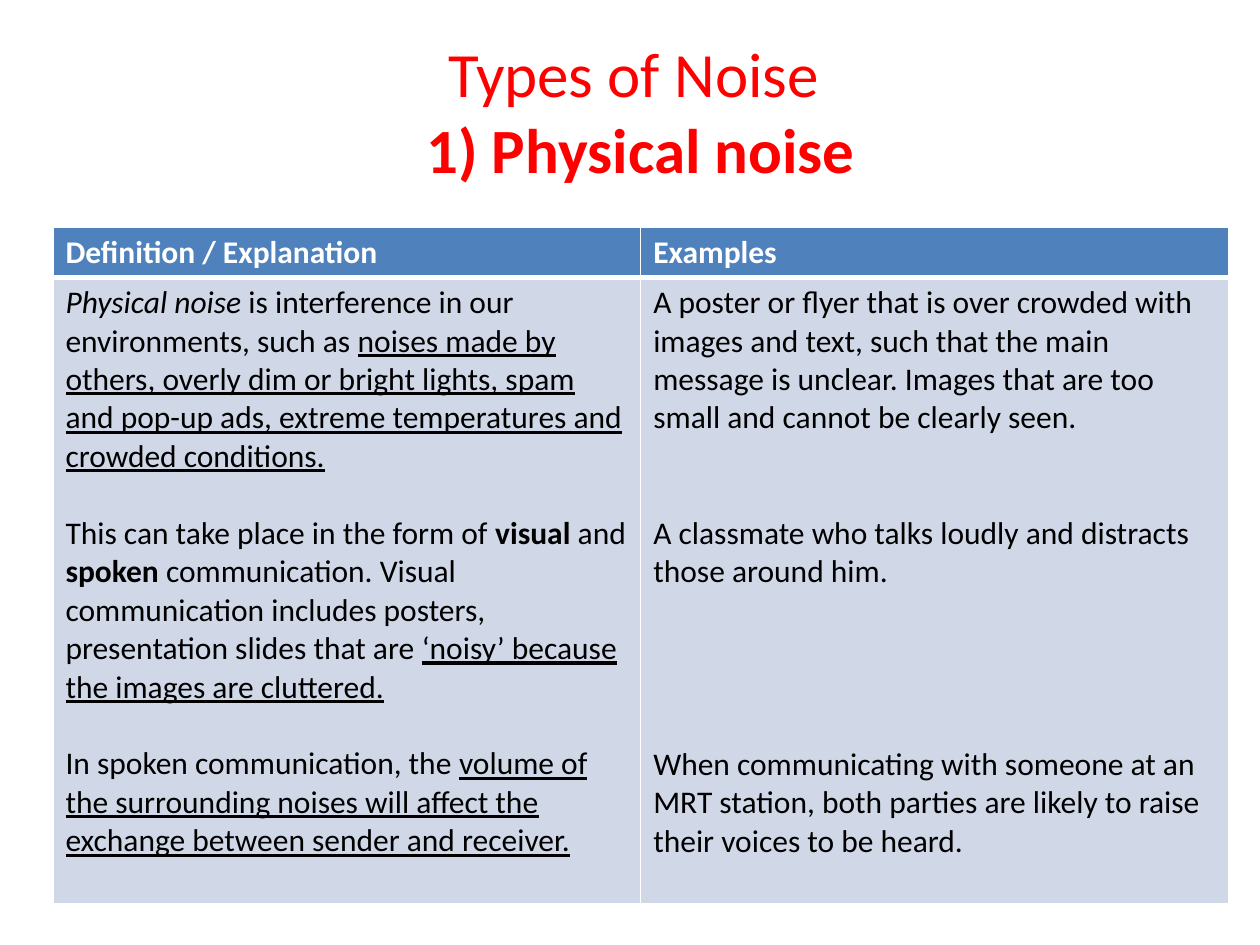
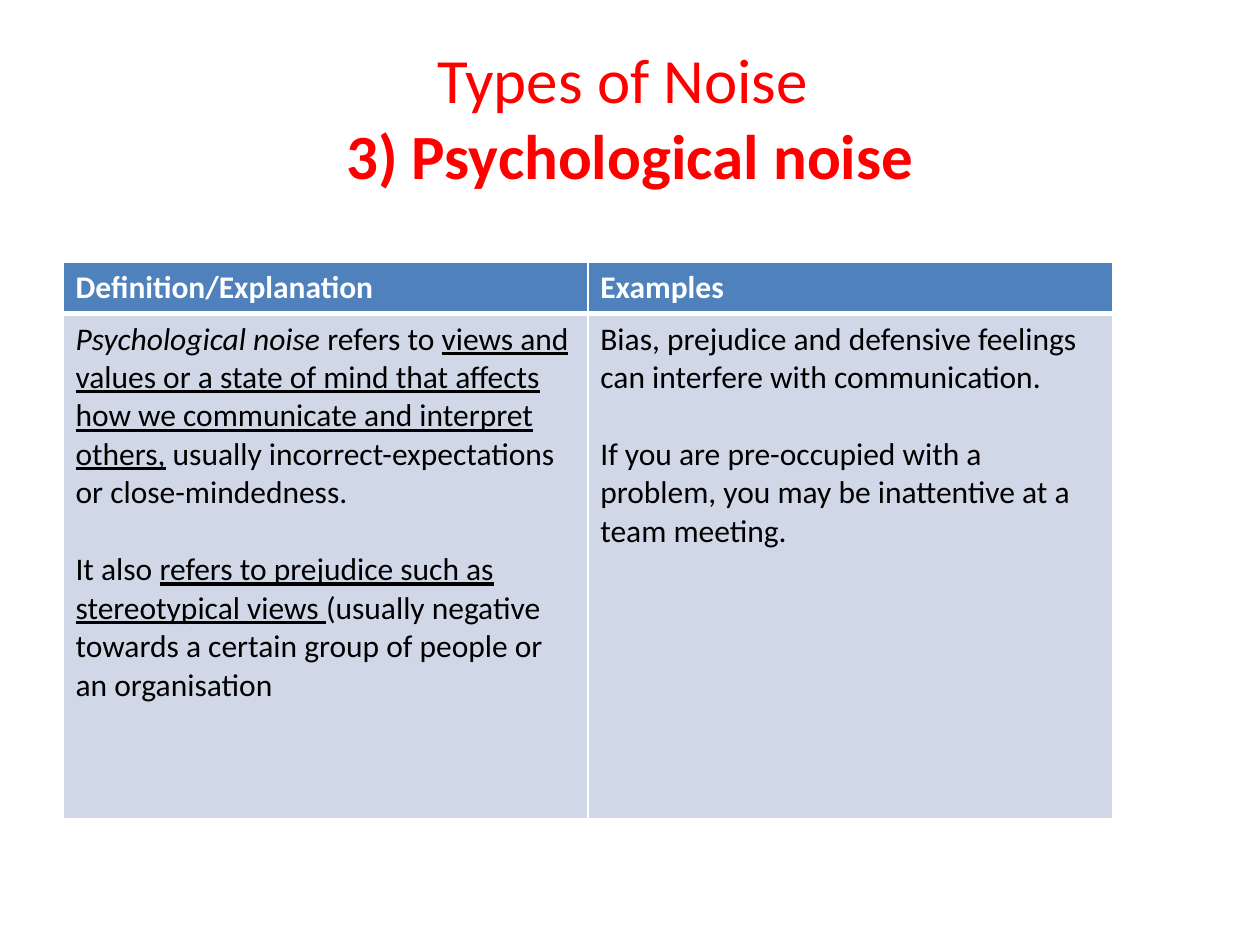
from dataclasses import dataclass
from typing import NamedTuple

from lxml import etree
from pptx import Presentation
from pptx.dml.color import RGBColor
from pptx.enum.text import MSO_ANCHOR, PP_ALIGN
from pptx.oxml.ns import qn
from pptx.util import Inches, Pt

CENTER = PP_ALIGN.CENTER
MIDDLE = MSO_ANCHOR.MIDDLE

COLORS = {
    "title": "FF0000",
    "header": "4F81BD",
    "body": "D0D8E8",
    "border": "FFFFFF",
    "header_text": "FFFFFF",
    "body_text": "000000",
}
FONT = "Calibri"
TITLE_SIZE = 36
TABLE_SIZE = 18
LINE_HEIGHT = 22  # points taken by one line of table text
BLANK_LAYOUT = 6


class Span(NamedTuple):
    text: str
    bold: bool = False
    italic: bool = False
    underline: bool = False


class Passage(NamedTuple):
    """A paragraph, set apart from the one before by a number of lines."""
    spans: list[Span]
    lines_before: int = 0


class Box(NamedTuple):
    left: float
    top: float
    width: float
    height: float


@dataclass
class NoiseSlide:
    heading: str
    title_box: Box
    table_box: Box
    header_height: float
    headers: list[str]
    definition: list[Passage]
    examples: list[Passage]


NOISE_SLIDES = [
    NoiseSlide(
        heading="1) Physical noise",
        title_box=Box(0.92, 0.25, 8.33, 1.25),
        table_box=Box(0.42, 1.8, 9.33, 5.37),
        header_height=0.4,
        headers=["Definition / Explanation", "Examples"],
        definition=[
            Passage([
                Span("Physical noise ", italic=True),
                Span("is interference in our environments, such as "),
                Span("noises made by others, overly dim or bright lights, spam and pop-up ads, "
                     "extreme temperatures and crowded conditions.", underline=True),
            ]),
            Passage([
                Span("This can take place in the form of "),
                Span("visual ", bold=True),
                Span("and "),
                Span("spoken", bold=True),
                Span(" communication. Visual communication includes posters, "
                     "presentation slides that are "),
                Span("‘noisy’ because the images are cluttered.", underline=True),
            ], 1),
            Passage([
                Span("In spoken communication, the "),
                Span("volume of the surrounding noises will affect the exchange "
                     "between sender and receiver.", underline=True),
            ], 1),
        ],
        examples=[
            Passage([Span("A poster or flyer that is over crowded with images and text, such that "
                          "the main message is unclear. Images that are too small and cannot be "
                          "clearly seen.")]),
            Passage([Span("A classmate who talks loudly and distracts those around him.")], 2),
            Passage([Span("When communicating with someone at an MRT station, both parties are "
                          "likely to raise their voices to be heard.")], 4),
        ],
    ),
    NoiseSlide(
        heading="3) Psychological noise",
        title_box=Box(0.5, 0.3, 9, 1.25),
        table_box=Box(0.5, 2.08, 8.33, 4.42),
        header_height=0.41,
        headers=["Definition/Explanation", "Examples"],
        definition=[
            Passage([
                Span("Psychological noise ", italic=True),
                Span("refers to "),
                Span("views and values or a state of mind that affects how we communicate "
                     "and interpret others,", underline=True),
                Span(" usually incorrect-expectations or close-mindedness."),
            ]),
            Passage([
                Span("It also "),
                Span("refers to prejudice such as stereotypical views ", underline=True),
                Span("(usually negative towards a certain group of people or an organisation"),
            ], 1),
        ],
        examples=[
            Passage([Span("Bias, prejudice and defensive feelings can interfere "
                          "with communication.")]),
            Passage([Span("If you are pre-occupied with a problem, you may be inattentive "
                          "at a team meeting.")], 1),
        ],
    ),
]


def add_span(paragraph, span: Span, size: int, color: str) -> None:
    run = paragraph.add_run()
    run.text = span.text
    font = run.font
    font.name = FONT
    font.size = Pt(size)
    font.bold = span.bold
    font.italic = span.italic
    font.underline = span.underline
    font.color.rgb = RGBColor.from_string(COLORS[color])


def add_title(slide, heading: str, box: Box) -> None:
    shape = slide.shapes.add_textbox(*map(Inches, box))
    text_frame = shape.text_frame
    text_frame.word_wrap = True
    text_frame.vertical_anchor = MIDDLE
    paragraph = text_frame.paragraphs[0]
    paragraph.alignment = CENTER
    add_span(paragraph, Span("Types of Noise "), TITLE_SIZE, "title")
    paragraph.add_line_break()
    add_span(paragraph, Span(heading, bold=True), TITLE_SIZE, "title")


def set_borders(cell, top: int, bottom: int) -> None:
    """Draw the four cell borders; side borders are one point wide."""
    properties = cell._tc.get_or_add_tcPr()
    for side, width in (("L", 1), ("R", 1), ("T", top), ("B", bottom)):
        line = etree.SubElement(properties, qn(f"a:ln{side}"), w=str(Pt(width)))
        fill = etree.SubElement(line, qn("a:solidFill"))
        etree.SubElement(fill, qn("a:srgbClr"), val=COLORS["border"])


def fill_cell(cell, passages: list[Passage], role: str) -> None:
    is_header = role == "header"
    set_borders(cell, top=1 if is_header else 3, bottom=3 if is_header else 1)
    cell.fill.solid()
    cell.fill.fore_color.rgb = RGBColor.from_string(COLORS[role])
    text_frame = cell.text_frame
    for index, passage in enumerate(passages):
        paragraph = text_frame.add_paragraph() if index else text_frame.paragraphs[0]
        if passage.lines_before:
            paragraph.space_before = Pt(passage.lines_before * LINE_HEIGHT)
        for span in passage.spans:
            add_span(paragraph, span, TABLE_SIZE, f"{role}_text")


def add_noise_table(slide, content: NoiseSlide) -> None:
    box = content.table_box
    table = slide.shapes.add_table(2, 2, *map(Inches, box)).table
    table.horz_banding = False
    table.rows[0].height = Inches(content.header_height)
    table.rows[1].height = Inches(box.height - content.header_height)
    bodies = (content.definition, content.examples)
    for index, (header, body) in enumerate(zip(content.headers, bodies)):
        table.columns[index].width = Inches(box.width / 2)
        fill_cell(table.cell(0, index), [Passage([Span(header, bold=True)])], "header")
        fill_cell(table.cell(1, index), body, "body")


def main() -> None:
    presentation = Presentation()
    presentation.slide_width = Inches(10)
    presentation.slide_height = Inches(7.5)
    for content in NOISE_SLIDES:
        slide = presentation.slides.add_slide(presentation.slide_layouts[BLANK_LAYOUT])
        add_title(slide, content.heading, content.title_box)
        add_noise_table(slide, content)
    presentation.save("out.pptx")


if __name__ == "__main__":
    main()
